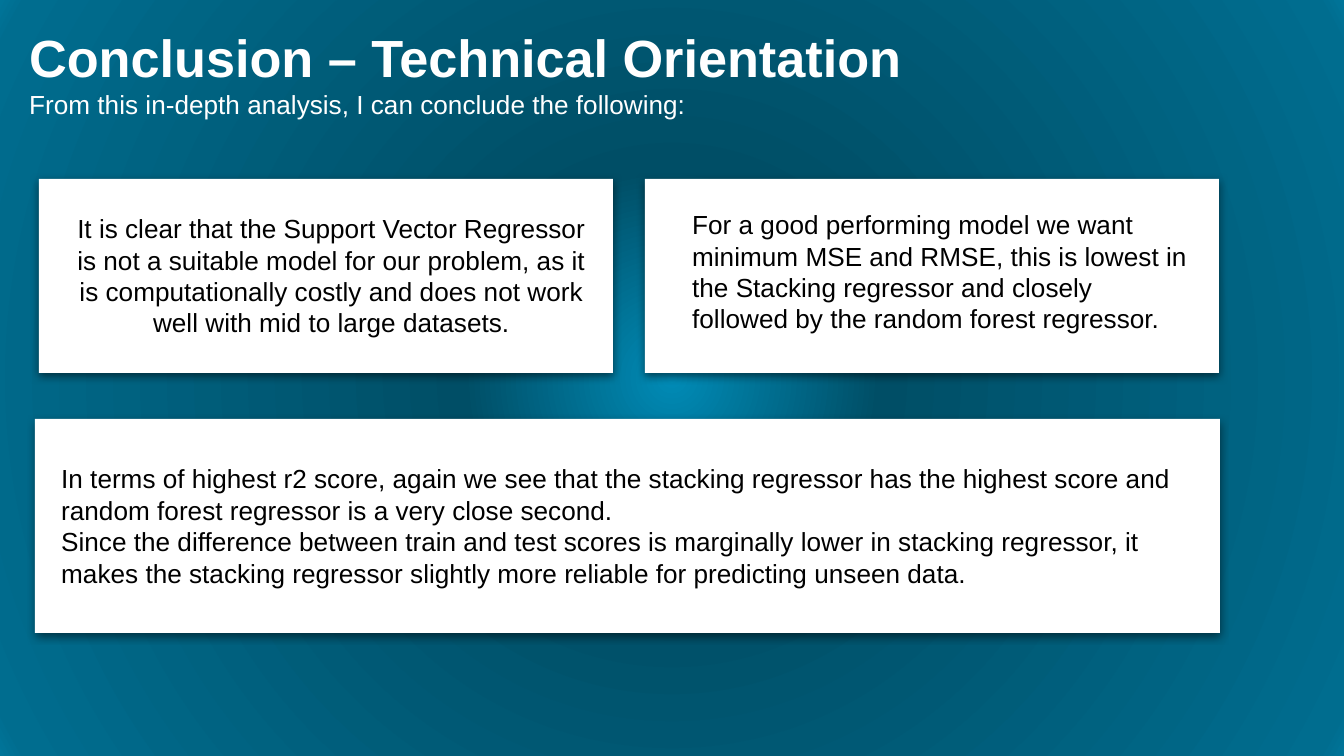
from pptx import Presentation
from pptx.dml.color import RGBColor
from pptx.enum.shapes import MSO_SHAPE as Shape
from pptx.enum.text import MSO_ANCHOR as Anchor, PP_ALIGN as Align
from pptx.oxml import parse_xml
from pptx.oxml.ns import nsdecls
from pptx.util import Emu, Pt

SCALE = 914400 / 134.4
COLORS = {"white": "FFFFFF", "black": "000000", "glow": "008BB6",
          "deep": "004E66", "teal": "006D8F", "edge": "007599"}
BACKGROUND_STOPS = [(0, "glow"), (27, "deep"), (97, "teal"), (100, "edge")]


def px(length):
    """Turn whole pixels into EMU."""
    return Emu(round(length * SCALE))


def set_background(slide):
    """Fill the slide with a circular gradient from the centre."""
    stops = "".join(
        f'<a:gs pos="{position * 1000}"><a:srgbClr val="{COLORS[color]}"/></a:gs>'
        for position, color in BACKGROUND_STOPS)
    slide.element.cSld.insert(0, parse_xml(
        f'<p:bg {nsdecls("p", "a")}><p:bgPr><a:gradFill rotWithShape="1">'
        f'<a:gsLst>{stops}</a:gsLst><a:path path="circle">'
        '<a:fillToRect l="50000" t="50000" r="50000" b="50000"/></a:path>'
        '</a:gradFill><a:effectLst/></p:bgPr></p:bg>'))


def add_card(shapes, left, top, width, height):
    """Add a white rectangle with a soft shadow below it."""
    card = shapes.add_shape(Shape.RECTANGLE, px(left), px(top), px(width), px(height))
    card.fill.solid()
    card.fill.fore_color.rgb = RGBColor.from_string(COLORS["white"])
    card.line.fill.background()
    card.shadow.inherit = False
    properties = card.element.spPr
    properties.remove(properties.find("{*}effectLst"))
    properties.append(parse_xml(
        f'<a:effectLst {nsdecls("a")}><a:outerShdw blurRad="{Pt(4.5)}" '
        f'dist="{Pt(1.5)}" dir="5400000" algn="bl" rotWithShape="0">'
        f'<a:srgbClr val="{COLORS["black"]}"><a:alpha val="50000"/></a:srgbClr>'
        '</a:outerShdw></a:effectLst>'))


def add_run(paragraph, text, size=14, color="black", bold=False):
    """Add one run of Arial text."""
    run = paragraph.add_run()
    run.text = text
    run.font.name = "Arial"
    run.font.size = Pt(size)
    run.font.bold = bold
    run.font.color.rgb = RGBColor.from_string(COLORS[color])


def add_frame(shapes, box, anchor):
    """Add a wrapping text box and return its text frame."""
    frame = shapes.add_textbox(*map(px, box)).text_frame
    frame.word_wrap = True
    frame.vertical_anchor = anchor
    frame.margin_left = frame.margin_right = Pt(7.2)
    frame.margin_top = frame.margin_bottom = Pt(7.2)
    return frame


def add_title(shapes, box, title, subtitle):
    """Add the bold heading with its lead-in line."""
    paragraph = add_frame(shapes, box, Anchor.TOP).paragraphs[0]
    add_run(paragraph, title, 28, "white", True)
    paragraph.add_line_break()
    add_run(paragraph, subtitle, 14, "white")


def add_body(shapes, box, texts, align=Align.LEFT, indent=0):
    """Add vertically centred body paragraphs."""
    frame = add_frame(shapes, box, Anchor.MIDDLE)
    for index, text in enumerate(texts):
        paragraph = frame.add_paragraph() if index else frame.paragraphs[0]
        paragraph.alignment = align
        paragraph._p.get_or_add_pPr().set("marL", str(px(indent)))
        add_run(paragraph, text)


def main():
    """Build the conclusion slide."""
    presentation = Presentation()
    presentation.slide_width, presentation.slide_height = px(1344), px(756)
    slide = presentation.slides.add_slide(presentation.slide_layouts[6])
    set_background(slide)
    shapes = slide.shapes

    for left in (645, 39):
        add_card(shapes, left, 179, 574, 194)
    add_title(shapes, (16, 12, 1134, 112), "Conclusion – Technical Orientation",
              "From this in-depth analysis, I can conclude the following:")
    add_body(shapes, (659, 187, 547, 169), [
        "For a good performing model we want minimum MSE and RMSE, this is lowest in "
        "the Stacking regressor and closely followed by the random forest regressor."],
        indent=20)
    add_body(shapes, (58, 199, 547, 153), [
        "It is clear that the Support Vector Regressor is not a suitable model for our "
        "problem, as it is computationally costly and does not work well with mid to "
        "large datasets."], Align.CENTER)

    group = shapes.add_group_shape()
    add_card(group.shapes, 35, 419, 1185, 214)
    add_body(group.shapes, (28, 435, 1197, 181), [
        "In terms of highest r2 score, again we see that the stacking regressor has the "
        "highest score and random forest regressor is a very close second.",
        "Since the difference between train and test scores is marginally lower in "
        "stacking regressor, it makes the stacking regressor slightly more reliable for "
        "predicting unseen data."], indent=20)

    presentation.save("out.pptx")


if __name__ == "__main__":
    main()
